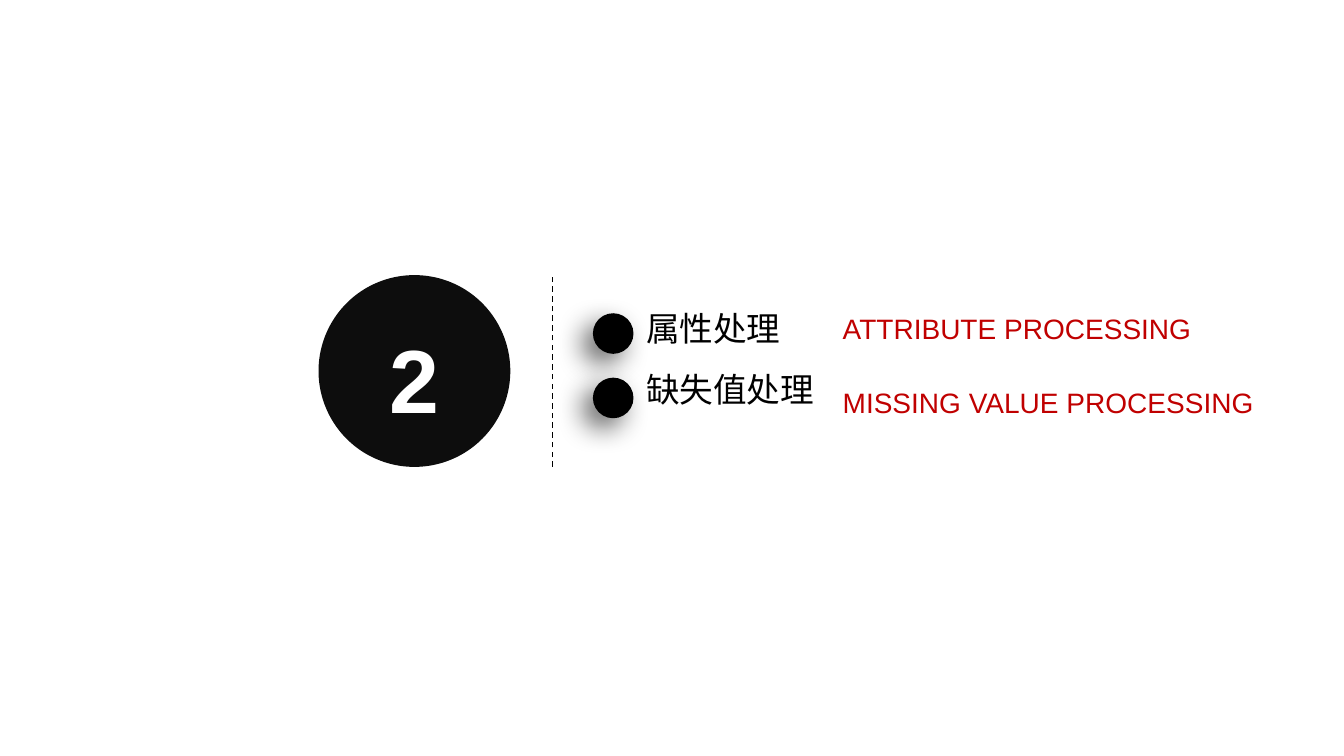
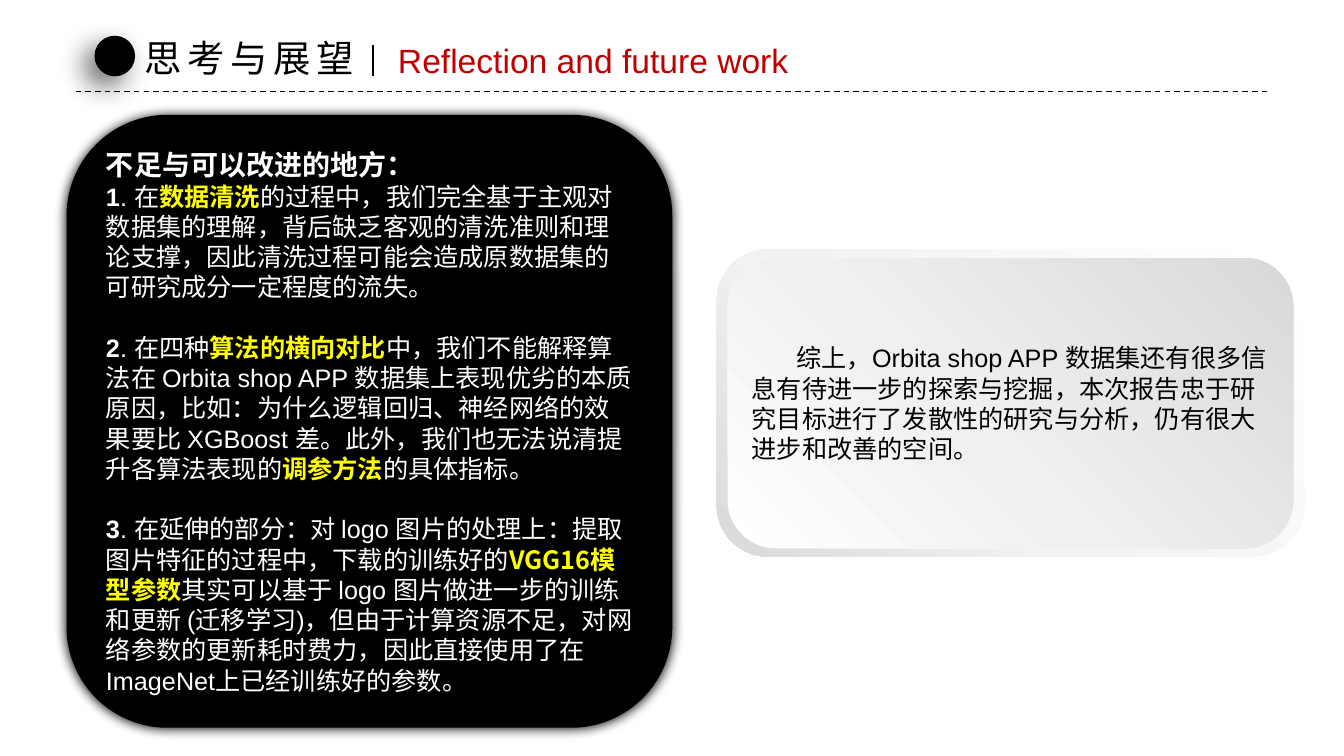
from dataclasses import dataclass

from lxml import etree
from pptx import Presentation, util as u
from pptx.dml.color import RGBColor
from pptx.enum import dml, shapes, text
from pptx.oxml import ns


@dataclass(frozen=True)
class Theme:
    black: str = "000000"
    badge: str = "0D0D0D"
    white: str = "FFFFFF"
    red: str = "C00000"
    yellow: str = "FFFF00"
    latin: str = "Arial"
    chinese: str = "Noto Sans CJK SC"
    number: float = 64
    title: float = 26.7
    heading: float = 24
    caption: float = 20
    body: float = 18
    leading: float = 1.2


THEME = Theme()
DOT_SIZE = 29
DOT_SHADOW = dict(alpha=60, blur=20, distance=10, angle=135)
PANEL_SHADOW = dict(alpha=100, blur=8.5, distance=1, angle=90)

IMPROVEMENTS = (
    (("1", "strong"), (". 在", "plain"), ("数据清洗", "key"),
     ("的过程中，我们完全基于主观对数据集的理解，背后缺乏客观的清洗准则和理论支撑，"
      "因此清洗过程可能会造成原数据集的可研究成分一定程度的流失。", "plain")),
    (("2", "strong"), (". 在四种", "plain"), ("算法的横向对比", "key"),
     ("中，我们不能解释算法在 Orbita shop APP 数据集上表现优劣的本质原因，"
      "比如：为什么逻辑回归、神经网络的效果要比 XGBoost 差。"
      "此外，我们也无法说清提升各算法表现的", "plain"),
     ("调参方法", "key"), ("的具体指标。", "plain")),
    (("3", "strong"), (". 在延伸的部分：对 logo 图片的处理上：提取图片特征的过程中，"
                       "下载的训练好的", "plain"),
     ("VGG16模型参数", "key"),
     ("其实可以基于 logo 图片做进一步的训练和更新 (迁移学习)，但由于计算资源不足，"
      "对网络参数的更新耗时费力，因此直接使用了在 ImageNet上已经训练好的参数。", "plain")),
)
CONCLUSION = ("综上，Orbita shop APP 数据集还有很多信息有待进一步的探索与挖掘，"
              "本次报告忠于研究目标进行了发散性的研究与分析，仍有很大进步和改善的空间。")


def rgb(color):
    return RGBColor.from_string(color)


def points(*lengths):
    return [u.Pt(length) for length in lengths]


def child(parent, tag, **attributes):
    return etree.SubElement(parent, ns.qn(tag),
                            {name: str(value) for name, value in attributes.items()})


def add_text(paragraph, wording, size=THEME.body, font=THEME.latin,
             color=THEME.black, bold=False, spacing=0):
    run = paragraph.add_run()
    run.text = wording
    run.font.size = u.Pt(size)
    run.font.name = font
    run.font.bold = bold
    run.font.color.rgb = rgb(color)
    properties = run.font._element
    child(properties, "a:ea", typeface=THEME.chinese)
    if spacing:
        properties.set("spc", str(round(spacing * 100)))


def set_paragraph(paragraph, before=0, leading=None, indent=0,
                  align=text.PP_ALIGN.LEFT):
    properties = paragraph._p.get_or_add_pPr()
    properties.set("marL", "0")
    properties.set("indent", str(u.Pt(indent)))
    child(properties, "a:buNone")
    paragraph.alignment = align
    paragraph.space_before = u.Pt(before)
    if leading:
        paragraph.line_spacing = u.Pt(leading)


def place(placeholder, left, top, width, height):
    (placeholder.left, placeholder.top,
     placeholder.width, placeholder.height) = points(left, top, width, height)
    frame = placeholder.text_frame
    frame.auto_size = text.MSO_AUTO_SIZE.NONE
    frame.vertical_anchor = text.MSO_ANCHOR.TOP
    frame.word_wrap = False
    return frame


def add_list(placeholder, box, entries, gap, **style):
    frame = place(placeholder, *box)
    for index, entry in enumerate(entries):
        line = frame.add_paragraph() if index else frame.paragraphs[0]
        set_paragraph(line, before=gap if index else 0)
        add_text(line, entry, **style)


def add_block(slide, kind, box, color=None, shadow=None):
    block = slide.shapes.add_shape(kind, *points(*box))
    block.line.fill.background()
    block.shadow.inherit = False
    if color:
        block.fill.solid()
        block.fill.fore_color.rgb = rgb(color)
    if shadow:
        effects = block._element.spPr.find(ns.qn("a:effectLst"))
        outer = child(effects, "a:outerShdw", blurRad=u.Pt(shadow["blur"]),
                      dist=u.Pt(shadow["distance"]), dir=shadow["angle"] * 60000,
                      algn="ctr", rotWithShape=0)
        tint = child(outer, "a:srgbClr", val=THEME.black)
        child(tint, "a:alpha", val=shadow["alpha"] * 1000)
    return block


def add_dot(slide, left, top):
    add_block(slide, shapes.MSO_SHAPE.OVAL, (left, top, DOT_SIZE, DOT_SIZE),
              THEME.black, DOT_SHADOW)


def add_gradient_card(slide, box, middle, angle):
    card = add_block(slide, shapes.MSO_SHAPE.ROUNDED_RECTANGLE, box)
    properties = card._element.spPr
    gradient = etree.Element(ns.qn("a:gradFill"), rotWithShape="1")
    stops = child(gradient, "a:gsLst")
    for position, color in ((0, THEME.white), middle, (100, "D9D9D9")):
        stop = child(stops, "a:gs", pos=position * 1000)
        child(stop, "a:srgbClr", val=color)
    child(gradient, "a:lin", ang=angle * 60000, scaled=0)
    properties.find(ns.qn("a:prstGeom")).addnext(gradient)
    return card


def add_rule(slide, start, end, weight=1, dashed=True):
    rule = slide.shapes.add_connector(shapes.MSO_CONNECTOR.STRAIGHT,
                                      *points(*start, *end))
    rule.line.color.rgb = rgb(THEME.black)
    rule.line.width = u.Pt(weight)
    if dashed:
        rule.line.dash_style = dml.MSO_LINE.DASH
    child(rule._element.spPr, "a:effectLst")


def open_panel(panel):
    frame = panel.text_frame
    frame.word_wrap = True
    frame.vertical_anchor = text.MSO_ANCHOR.MIDDLE
    return frame


def build_section(deck):
    slide = deck.slides.add_slide(deck.slide_layouts[3])
    number, topics, translations = slide.placeholders
    badge = add_block(slide, shapes.MSO_SHAPE.OVAL, (227.5, 196.5, 137, 137),
                      THEME.badge)
    number._element.addprevious(badge._element)
    digit = place(number, 261, 227.5, 70, 85).paragraphs[0]
    set_paragraph(digit, align=text.PP_ALIGN.CENTER)
    add_text(digit, "2", size=THEME.number, color=THEME.white, bold=True)

    add_rule(slide, (394.5, 333.5), (394.5, 196.5))
    for row in range(2):
        add_dot(slide, 423.5, 223.75 + row * 46)
    add_list(topics, (454.3, 216.5, 140, 90), ("属性处理", "缺失值处理"),
             gap=14.25, size=THEME.heading, font=THEME.chinese)
    add_list(translations, (594.7, 219, 310, 90),
             ("ATTRIBUTE PROCESSING", "MISSING VALUE PROCESSING"),
             gap=28.8, size=THEME.caption, color=THEME.red)


def add_header(slide, title, translation):
    add_rule(slide, (54, 65.5), (906, 65.5))
    add_dot(slide, 67.5, 25.5)
    heading = place(slide.shapes.title, 95.8, 21.6, 169, 40).paragraphs[0]
    set_paragraph(heading)
    add_text(heading, title, size=THEME.title, font=THEME.chinese, spacing=4)
    subtitle = slide.shapes.add_textbox(*points(277.2, 25.2, 303, 36)).text_frame
    subtitle.word_wrap = False
    add_text(subtitle.paragraphs[0], translation, size=THEME.heading,
             color=THEME.red)
    add_rule(slide, (266.4, 32.4), (266.4, 54), weight=1.5, dashed=False)


def build_outlook(deck):
    slide = deck.slides.add_slide(deck.slide_layouts[5])
    add_header(slide, "思考与展望", "Reflection and future work")

    styles = {
        "plain": dict(color=THEME.white),
        "strong": dict(color=THEME.white, bold=True),
        "key": dict(color=THEME.yellow, font=THEME.chinese, bold=True),
    }
    leading = THEME.body * THEME.leading
    panel = open_panel(add_block(slide, shapes.MSO_SHAPE.ROUNDED_RECTANGLE,
                                 (47.5, 82, 432.7, 437.8), THEME.black,
                                 PANEL_SHADOW))
    lead = panel.paragraphs[0]
    set_paragraph(lead, leading=THEME.caption * THEME.leading)
    add_text(lead, "不足与可以改进的地方：", size=THEME.caption, **styles["strong"])
    for index, pieces in enumerate(IMPROVEMENTS):
        point = panel.add_paragraph()
        set_paragraph(point, before=leading if index else 0, leading=leading)
        for wording, style in pieces:
            add_text(point, wording, **styles[style])

    add_gradient_card(slide, (512, 178, 419.8, 219.6), (62, "F2F2F2"), 135)
    card = add_gradient_card(slide, (519.8, 184.3, 404, 207.4), (42, "F0F0F0"), 315)
    summary = open_panel(card).paragraphs[0]
    set_paragraph(summary, leading=leading, indent=32)
    add_text(summary, CONCLUSION)


def main():
    deck = Presentation()
    deck.slide_width, deck.slide_height = points(960, 540)
    build_section(deck)
    build_outlook(deck)
    deck.save("out.pptx")


if __name__ == "__main__":
    main()
